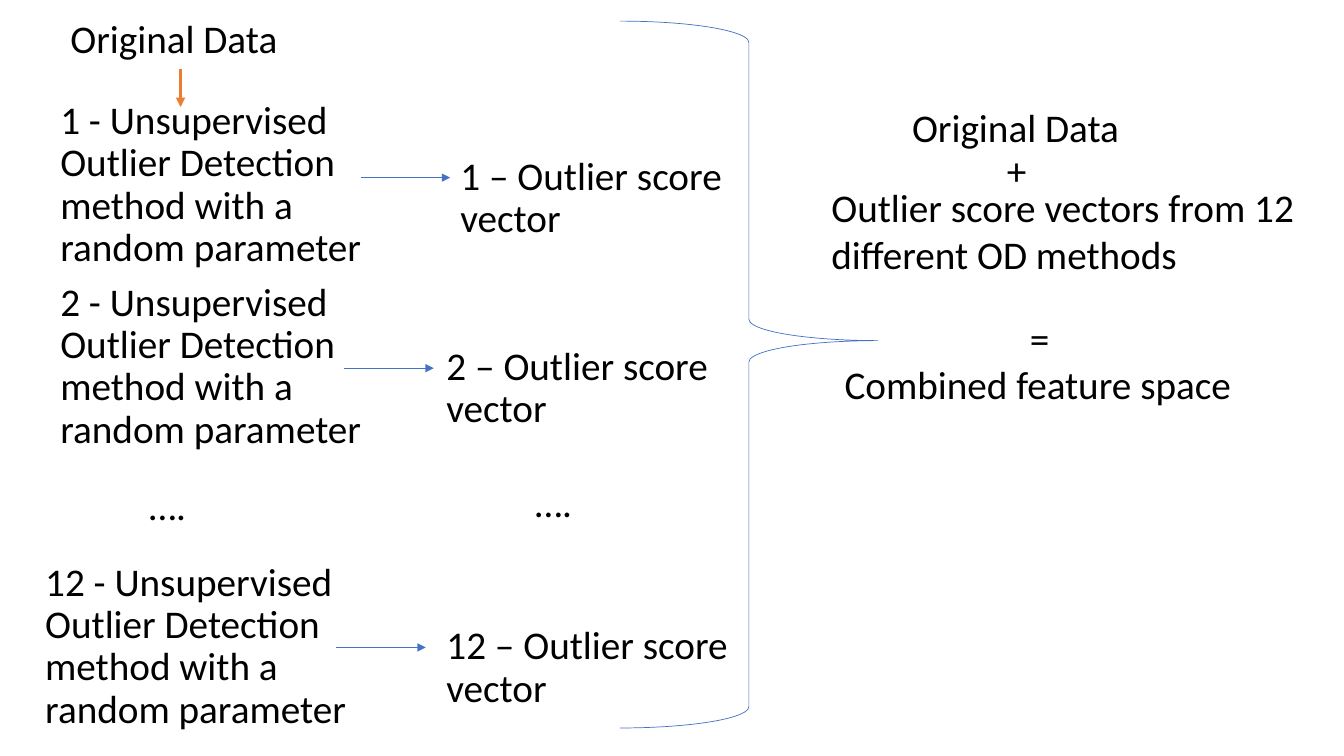
from pptx import Presentation
from pptx.dml.color import RGBColor
from pptx.enum.shapes import MSO_CONNECTOR as CONN, MSO_SHAPE as SHAPE
from pptx.enum.text import MSO_AUTO_SIZE as FIT
from pptx.oxml.ns import qn
from pptx.util import Pt
from lxml import etree

BLACK = RGBColor(0x00, 0x00, 0x00)
BLUE = RGBColor(0x44, 0x72, 0xC4)
ORANGE = RGBColor(0xED, 0x7D, 0x31)

prs = Presentation()
prs.slide_width, prs.slide_height = Pt(960), Pt(540)
s = prs.slides.add_slide(prs.slide_layouts[6])


def add_text(text, x, y, w, h=38, spacing=0.9, size=28, color=BLACK):
    tf = s.shapes.add_textbox(Pt(x), Pt(y), Pt(w), Pt(h)).text_frame
    tf.word_wrap = True
    tf.auto_size = FIT.SHAPE_TO_FIT_TEXT
    p = tf.paragraphs[0]
    p.line_spacing = spacing
    r = p.add_run()
    r.text = text
    r.font.name, r.font.size = "Calibri", Pt(size)
    r.font.color.rgb = color


def add_arrow(x1, y1, x2, y2, color=BLUE, width=0.5):
    c = s.shapes.add_connector(CONN.STRAIGHT, Pt(x1), Pt(y1), Pt(x2), Pt(y2))
    c.line.color.rgb, c.line.width = color, Pt(width)
    etree.SubElement(c.line._get_or_add_ln(), qn("a:tailEnd"), type="triangle")
    etree.SubElement(c._element.spPr, qn("a:effectLst"))


# Input data
add_text("Original Data", 43.2, 10.8, 188)
add_arrow(129, 49, 129, 76.5, color=ORANGE, width=2.25)

# Detection methods, each with its score vector
rows = [
    # number, method x, method y, arrow x, score x, score y
    (1, 36, 68.4, 257.8, 321.8, 108),
    (2, 36, 198, 246, 311.8, 244.1),
    (12, 25.2, 398.2, 240.3, 311.8, 443.6),
]
for n, method_x, method_y, arrow_x, score_x, score_y in rows:
    add_text(f"{n} - Unsupervised Outlier Detection method with a random parameter",
             method_x, method_y, 242, h=129.6)
    arrow_y = score_y + 18.9
    add_arrow(arrow_x, arrow_y, arrow_x + 63.8, arrow_y)
    add_text(f"{n} – Outlier score vector", score_x, score_y, 242, h=68.4)

# Omitted rows
for x, y in [(99.4, 344.2), (375.1, 342)]:
    add_text("….", x, y, 57.6)

# Brace gathering the vectors
brace = s.shapes.add_shape(SHAPE.RIGHT_BRACE, Pt(442.8), Pt(15.1), Pt(184.3), Pt(504.9))
brace.adjustments[0], brace.adjustments[1] = 0.083, 0.452
brace.shadow.inherit = False
brace.fill.background()
brace.line.color.rgb, brace.line.width = BLUE, Pt(0.5)

# Combined result
add_text("Original Data", 644.4, 74.2, 188)
add_text("+", 712.1, 104.4, 57.6)
add_text("Outlier score vectors from 12 different OD methods",
         586.8, 127.4, 361.4, h=75, spacing=1.0)
add_text("=", 728.6, 224.6, 57.6)
add_text("Combined feature space", 596.2, 257.8, 305.3)

prs.save("out.pptx")
